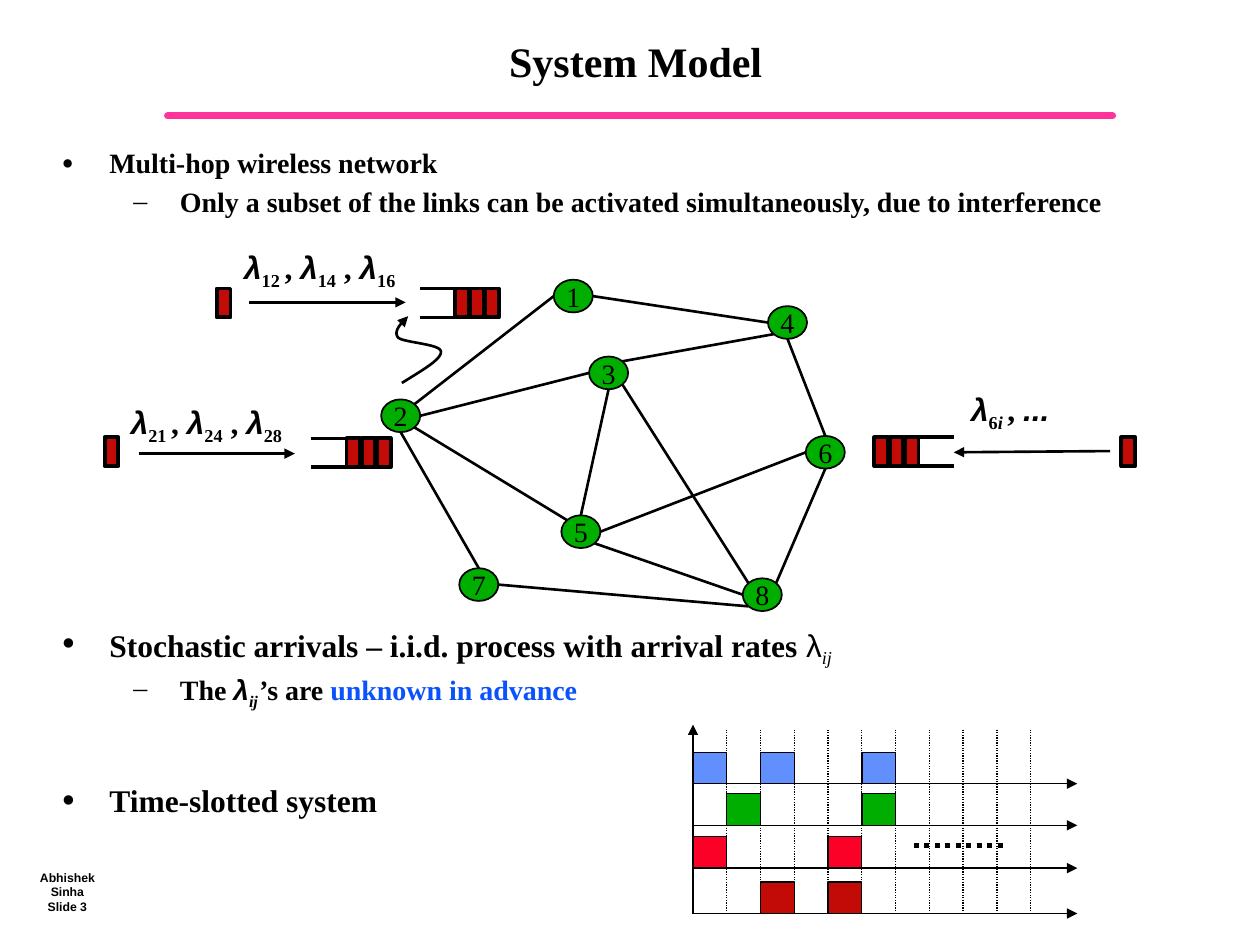
import dataclasses

import pptx
import pptx.dml.color
import pptx.enum.dml
import pptx.enum.shapes
import pptx.enum.text
import pptx.oxml
import pptx.oxml.ns
import pptx.util

Inches = pptx.util.Inches
Pt = pptx.util.Pt
SHAPES = pptx.enum.shapes.MSO_SHAPE
ALIGN = pptx.enum.text.PP_ALIGN
ANCHOR = pptx.enum.text.MSO_ANCHOR


@dataclasses.dataclass(frozen=True)
class Theme:
    """Colours, fonts and type sizes of the slide."""
    serif: str = "Times New Roman"
    sans: str = "Arial"
    ink: str = "000000"
    rule: str = "FF3399"
    accent: str = "0B52FC"
    blue: str = "618FFD"
    green: str = "00AE00"
    red: str = "FC0128"
    packet: str = "C20A06"
    title: int = 24
    large: int = 18
    body: int = 16
    footer: int = 7


THEME = Theme()
NODE_SIZE = (0.31, 0.26)
PACKET_SIZE = (0.11, 0.23)
NODES = {1: (4.55, 2.35), 2: (3.18, 3.3), 3: (4.83, 2.96), 4: (6.25, 2.56),
         5: (4.61, 4.22), 6: (6.55, 3.59), 7: (3.8, 4.64), 8: (6.05, 4.72)}
LINKS = [(1, "E", 4, "W"), (6, "W", 5, "E"), (8, "NW", 3, "SE"), (7, "N", 2, "S"),
         (3, "W", 2, "E"), (1, "W", 2, "NE"), (3, "NE", 4, "SW"), (5, "NW", 2, "SE"),
         (4, "S", 6, "N"), (3, "S", 5, "N"), (6, "S", 8, "NE"), (5, "SE", 8, "W"),
         (8, "SW", 7, "E")]
SIDES = {"N": (0, -1), "S": (0, 1), "E": (1, 0), "W": (-1, 0), "NE": (0.71, -0.71),
         "NW": (-0.71, -0.71), "SE": (0.71, 0.71), "SW": (-0.71, 0.71)}


def rgb(value):
    """Turn a hex string into a colour."""
    return pptx.dml.color.RGBColor.from_string(value)


def add_span(para, text, color=THEME.ink, baseline=0, **formats):
    """Add a run with the given font formats."""
    span = para.add_run()
    span.text = text
    values = {"name": THEME.serif, "size": THEME.body, "bold": True, "italic": False, **formats}
    values["size"] = Pt(values["size"])
    for name, value in values.items():
        setattr(span.font, name, value)
    span.font.color.rgb = rgb(color)
    if baseline:
        span.font._element.set("baseline", str(baseline * 1000))


def set_frame(frame, **formats):
    """Set the layout values of a text frame."""
    for name, value in formats.items():
        setattr(frame, name, value)


def add_box(page, left, top, width, height, **formats):
    """Add a text box and return its frame."""
    box = page.shapes.add_textbox(Inches(left), Inches(top), Inches(width), Inches(height))
    set_frame(box.text_frame, **{"word_wrap": True, **formats})
    return box.text_frame


def add_line(page, start, end, width=1.5, color=THEME.ink, dotted=False, arrow=False, cap=None):
    """Add a straight line, optionally dotted or with an arrowhead."""
    line = page.shapes.add_connector(pptx.enum.shapes.MSO_CONNECTOR.STRAIGHT,
                                     *(Inches(value) for value in (*start, *end)))
    line.line.color.rgb = rgb(color)
    line.line.width = Pt(width)
    if dotted:
        line.line.dash_style = pptx.enum.dml.MSO_LINE.ROUND_DOT
    if cap:
        line.line._get_or_add_ln().set("cap", cap)
    if arrow:
        add_arrowhead(line)
    line._element.spPr.append(pptx.oxml.parse_xml(
        f'<a:effectLst {pptx.oxml.ns.nsdecls("a")}/>'))


def add_arrowhead(shape):
    """Put a triangle at the end of a line."""
    shape.line._get_or_add_ln().append(pptx.oxml.parse_xml(
        f'<a:tailEnd {pptx.oxml.ns.nsdecls("a")} type="triangle"/>'))


def add_filled(page, kind, left, top, size, fill, width):
    """Add a filled shape with a black outline."""
    shape = page.shapes.add_shape(kind, Inches(left), Inches(top), *map(Inches, size))
    shape.shadow.inherit = False
    shape.fill.solid()
    shape.fill.fore_color.rgb = rgb(fill)
    shape.line.color.rgb = rgb(THEME.ink)
    shape.line.width = Pt(width)
    return shape


def add_bullets(page, top, items):
    """Add a box of bulleted paragraphs, each a level and its spans."""
    frame = add_box(page, 0.39, top, 9.5, 0.7)
    for index, (level, spans) in enumerate(items):
        para = frame.paragraphs[0] if index == 0 else frame.add_paragraph()
        para.line_spacing = 0.9
        if index:
            para.space_before = Pt(4.5)
        margin, indent, symbol, scale = [(0.38, -0.38, "•", 125), (0.94, -0.37, "–", 100)][level]
        properties = para._p.get_or_add_pPr()
        properties.set("lvl", str(level))
        properties.set("marL", str(Inches(margin)))
        properties.set("indent", str(Inches(indent)))
        for tag, name, value in (("buSzPct", "val", scale * 1000),
                                 ("buFont", "typeface", THEME.serif), ("buChar", "char", symbol)):
            properties.append(pptx.oxml.parse_xml(
                f'<a:{tag} {pptx.oxml.ns.nsdecls("a")} {name}="{value}"/>'))
        for text, formats in spans:
            add_span(para, text, **formats)


def add_rates(page, left, top, parts):
    """Label a flow with its arrival rates."""
    para = add_box(page, left, top, 1.6, 0.4).paragraphs[0]
    styles = {"symbol": {"name": THEME.sans, "italic": True}, "sub": {"baseline": -25},
              "index": {"baseline": -25, "italic": True}, "plain": {}}
    for text, style in parts:
        add_span(para, text, size=THEME.large, **styles[style])


def rate_list(*subscripts):
    """Spell out three rates, separated by commas."""
    parts = []
    for subscript, comma in zip(subscripts, (", ", " , ", "")):
        gap = " " if comma == ", " else ""
        parts += [("λ", "symbol"), (subscript + gap, "sub"), (comma, "plain")]
    return [part for part in parts if part[0]]


def add_flow(page, packet, arrow, queue, mouth):
    """Draw an arriving packet, its arrow and the queue it joins."""
    left, top = queue
    cells = [(left + 0.12 * index, top) for index in range(3)]
    for cell in [packet, *cells]:
        add_filled(page, SHAPES.RECTANGLE, *cell, PACKET_SIZE, THEME.packet, 2.25)
    back = left if mouth < left else cells[-1][0] + PACKET_SIZE[0]
    for rail in (top, top + PACKET_SIZE[1]):
        add_line(page, (back, rail), (mouth, rail), 2.25)
    add_line(page, *arrow, arrow=True)


def add_network(page):
    """Draw the links and the numbered nodes."""
    def site(node, side):
        return [centre + step * size / 2
                for centre, step, size in zip(NODES[node], SIDES[side], NODE_SIZE)]

    for first, first_side, second, second_side in LINKS:
        add_line(page, site(first, first_side), site(second, second_side))
    for number, (x, y) in NODES.items():
        node = add_filled(page, SHAPES.OVAL, x - NODE_SIZE[0] / 2, y - NODE_SIZE[1] / 2,
                          NODE_SIZE, THEME.green, 1)
        set_frame(node.text_frame, word_wrap=False, vertical_anchor=ANCHOR.MIDDLE,
                  margin_left=0, margin_right=0, margin_top=0, margin_bottom=0)
        para = node.text_frame.paragraphs[0]
        para.alignment = ALIGN.CENTER
        add_span(para, str(number), bold=False)


def add_curve(page, start, segments, steps=12):
    """Draw an arrow along cubic curves."""
    points, here = [], start
    for first, second, end in segments:
        for step in range(1, steps + 1):
            t = step / steps
            weights = ((1 - t) ** 3, 3 * t * (1 - t) ** 2, 3 * t * t * (1 - t), t ** 3)
            points.append(tuple(Inches(sum(w * p[axis] for w, p in zip(
                weights, (here, first, second, end)))) for axis in (0, 1)))
        here = end
    builder = page.shapes.build_freeform(*map(Inches, start), scale=1.0)
    builder.add_line_segments(points, close=False)
    curve = builder.convert_to_shape()
    curve.shadow.inherit = False
    curve.fill.background()
    curve.line.color.rgb = rgb(THEME.ink)
    curve.line.width = Pt(1.5)
    add_arrowhead(curve)


def add_timeline(page):
    """Draw the slot grid with arrivals on four time axes."""
    left, slot, bottom = 5.5, 0.268, 7.25
    rows = [(6.22, THEME.blue, (0, 2, 5)), (6.55, THEME.green, (1, 5)),
            (6.89, THEME.red, (0, 4)), (bottom, THEME.packet, (2, 4))]
    for index in range(1, 11):
        x = left + slot * index
        add_line(page, (x, 5.79), (x, bottom), 0.75, dotted=True)
    add_line(page, (left, bottom), (left, 5.75), 0.75, arrow=True)
    for base, color, slots in rows:
        for index in slots:
            add_filled(page, SHAPES.RECTANGLE, left + slot * index, base - 0.25,
                       (slot, 0.25), color, 0.75)
        add_line(page, (left, base), (8.55, base), 0.75, arrow=True)
    add_line(page, (7.25, 6.71), (7.96, 6.71), 3, dotted=True)


def add_heading(page):
    """Fill the title, its rule and the footer."""
    title = page.shapes.title
    for name, value in {"left": 1.17, "top": 0.06, "width": 7.75, "height": 0.83}.items():
        setattr(title, name, Inches(value))
    set_frame(title.text_frame, word_wrap=True, vertical_anchor=ANCHOR.MIDDLE,
              auto_size=pptx.enum.text.MSO_AUTO_SIZE.NONE)
    para = title.text_frame.paragraphs[0]
    para.alignment, para.line_spacing = ALIGN.CENTER, Pt(30)
    add_span(para, "System Model", size=THEME.title)
    add_line(page, (1.33, 0.92), (8.83, 0.92), 4, THEME.rule, cap="rnd")
    frame = add_box(page, 0.17, 6.83, 0.73, 0.5, word_wrap=False, vertical_anchor=ANCHOR.MIDDLE)
    for para, text in zip((frame.paragraphs[0], frame.add_paragraph()),
                          ("Abhishek Sinha", "Slide 3")):
        para.alignment = ALIGN.CENTER
        add_span(para, text, name=THEME.sans, size=THEME.footer)


def main():
    """Build and save the slide."""
    deck = pptx.Presentation()
    deck.slide_width, deck.slide_height = Inches(10), Inches(7.5)
    page = deck.slides.add_slide(deck.slide_layouts[5])
    add_heading(page)
    large = {"size": THEME.large}
    slanted = {"italic": True}
    add_bullets(page, 1.14, [
        (0, [("Multi-hop wireless network", {})]),
        (1, [("Only a subset of the links can be activated simultaneously, "
              "due to interference", {})])])
    add_bullets(page, 4.92, [
        (0, [("Stochastic arrivals – i.i.d. process with arrival rates ", large),
             ("λ", {**large, "name": THEME.sans, "bold": False}),
             ("ij", {**large, **slanted, "bold": False, "baseline": -25})]),
        (1, [("The ", {}), ("λ", {**slanted, "name": THEME.sans}),
             ("ij", {**slanted, "baseline": -25}), ("’", slanted), ("s are ", {}),
             ("unknown in advance", {"color": THEME.accent})])])
    add_bullets(page, 6.18, [(0, [("Time-slotted system", large)])])
    add_timeline(page)
    add_network(page)
    add_rates(page, 1.84, 1.92, rate_list("12", "14", "16"))
    add_rates(page, 0.94, 3.15, rate_list("21", "24", "28"))
    add_rates(page, 7.61, 3.05, [("λ", "symbol"), ("6", "sub"), ("i ", "index"),
                                 (", ", "plain"), ("...", "symbol")])
    add_flow(page, (1.72, 2.29), ((1.98, 2.4), (3.22, 2.4)), (3.61, 2.29), 3.33)
    add_flow(page, (0.83, 3.47), ((1.1, 3.6), (2.34, 3.6)), (2.75, 3.48), 2.47)
    add_flow(page, (8.9, 3.47), ((8.81, 3.58), (7.57, 3.59)), (6.94, 3.47), 7.57)
    add_curve(page, (3.19, 3.04), [((3.35, 2.94), (3.51, 2.85), (3.5, 2.79)),
                                   ((3.5, 2.73), (3.2, 2.72), (3.16, 2.68)),
                                   ((3.12, 2.63), (3.18, 2.57), (3.24, 2.51))])
    deck.save("out.pptx")


if __name__ == "__main__":
    main()
